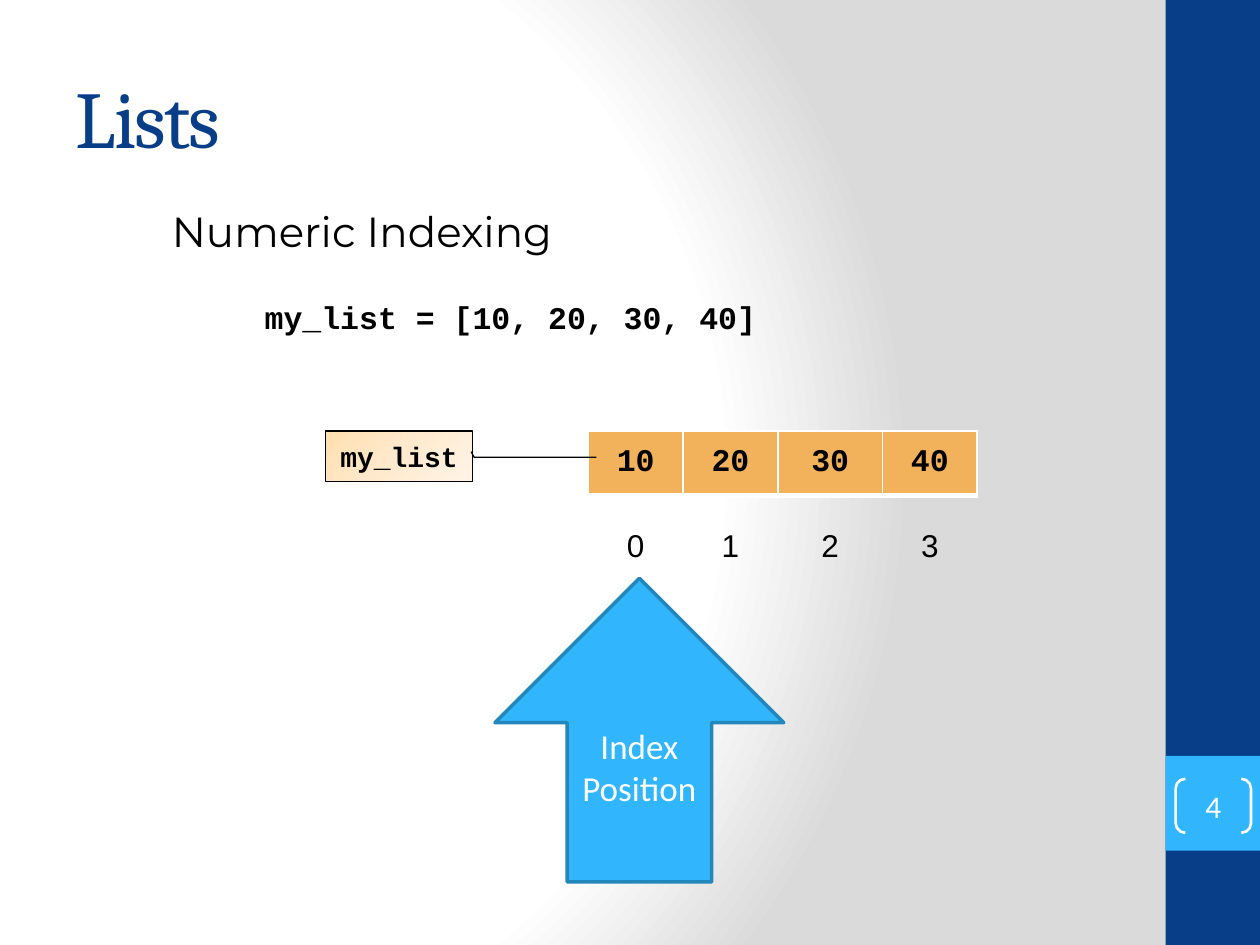
from lxml import etree
from pptx import Presentation
from pptx import util as u
from pptx.dml.color import RGBColor
from pptx.enum import shapes, text
from pptx.oxml import ns

COLORS = {
    "navy": "073E87", "sky": "31B6FD", "sky_edge": "2487BB", "amber": "F2B25C",
    "white": "FFFFFF", "black": "000000", "gray": "DADADA",
    "peach": "FFDFAF", "peach_mid": "FFEACE", "peach_light": "FFF4E7",
}
RGB = {name: RGBColor.from_string(value) for name, value in COLORS.items()}
CENTER = text.PP_ALIGN.CENTER
MIDDLE = text.MSO_ANCHOR.MIDDLE
DRAWING = ns.nsdecls("a")


def style_paragraph(paragraph, font_name, size, color, bold=False, align=None):
    paragraph.alignment = align
    for run in paragraph.runs:
        run.font.name = font_name
        run.font.size = u.Pt(size)
        run.font.bold = bold
        run.font.color.rgb = RGB[color]


def set_radial_gradient(parent, fill, stops, focus):
    fill.gradient()
    gradient = parent.find(".//" + ns.qn("a:gradFill"))
    gradient.clear()
    stop_xml = "".join(
        f'<a:gs pos="{position * 1000}"><a:srgbClr val="{COLORS[color]}"/></a:gs>'
        for position, color in stops)
    left, top, right, bottom = (percent * 1000 for percent in focus)
    gradient.append(etree.fromstring(f"<a:gsLst {DRAWING}>{stop_xml}</a:gsLst>"))
    gradient.append(etree.fromstring(
        f'<a:path {DRAWING} path="circle"><a:fillToRect l="{left}" t="{top}" '
        f'r="{right}" b="{bottom}"/></a:path>'))


presentation = Presentation()
presentation.slide_width = u.Cm(25.4)
presentation.slide_height = u.Cm(19.05)
slide = presentation.slides.add_slide(presentation.slide_layouts[1])
set_radial_gradient(slide._element, slide.background.fill,
                    [(0, "white"), (75, "white"), (100, "gray")], (20, 50, 100, 50))

for top, height, color in [(0, 19.05, "navy"), (15.24, 1.91, "sky")]:
    sidebar = slide.shapes.add_shape(
        shapes.MSO_SHAPE.RECTANGLE, u.Cm(23.5), u.Cm(top), u.Cm(1.9), u.Cm(height))
    sidebar.shadow.inherit = False
    sidebar.fill.solid()
    sidebar.fill.fore_color.rgb = RGB[color]
    sidebar.line.fill.background()

title = slide.shapes.title
title.left, title.top, title.width, title.height = (
    u.Cm(1.27), u.Cm(0.76), u.Cm(21.16), u.Cm(3.18))
title.text_frame.text = "Lists"
title.text_frame.vertical_anchor = MIDDLE
paragraph = title.text_frame.paragraphs[0]
style_paragraph(paragraph, "Cambria", 46, "navy", align=text.PP_ALIGN.LEFT)
paragraph.runs[0].font._element.set("spc", "-100")

body = slide.placeholders[1]
body.left, body.top, body.width, body.height = (
    u.Cm(3.18), u.Cm(4.01), u.Cm(18.62), u.Cm(3.18))
body.text_frame.text = "Numeric Indexing\nmy_list = [10, 20, 30, 40]"
body.text_frame.auto_size = text.MSO_AUTO_SIZE.NONE
body_styles = [("Montserrat", 24, False, 12, 0.03), ("Courier New", 18, True, 24, 1.9)]
for paragraph, (font_name, size, bold, space, indent) in zip(
        body.text_frame.paragraphs, body_styles):
    style_paragraph(paragraph, font_name, size, "black", bold, text.PP_ALIGN.LEFT)
    paragraph.space_before = u.Pt(space)
    properties = paragraph._p.get_or_add_pPr()
    properties.set("marL", str(u.Cm(indent)))
    properties.set("indent", "0")
    etree.SubElement(properties, ns.qn("a:buNone"))

column_widths = [1.91, 1.91, 2.11, 1.91]
tables = [
    (8.69, ["10", "20", "30", "40"], "Courier New", True),
    (10.36, ["0", "1", "2", "3"], "Arial", False),
]
for top, values, font_name, boxed in tables:
    table = slide.shapes.add_table(
        1, 4, u.Cm(11.86), u.Cm(top), u.Cm(sum(column_widths)), u.Cm(1.3)).table
    table.first_row = False
    table.horz_banding = False
    for column, width, cell, value in zip(
            table.columns, column_widths, table.rows[0].cells, values):
        column.width = u.Cm(width)
        cell.text_frame.text = value
        cell.vertical_anchor = MIDDLE
        style_paragraph(cell.text_frame.paragraphs[0], font_name, 18, "black", boxed, CENTER)
        if boxed:
            cell.fill.solid()
            cell.fill.fore_color.rgb = RGB["amber"]
            paint = f'<a:solidFill><a:srgbClr val="{COLORS["white"]}"/></a:solidFill>'
        else:
            cell.fill.background()
            paint = "<a:noFill/>"
        for index, (side, points) in enumerate([("L", 1), ("R", 1), ("T", 1), ("B", 3)]):
            cell._tc.get_or_add_tcPr().insert(index, etree.fromstring(
                f'<a:ln{side} {DRAWING} w="{u.Pt(points)}">{paint}</a:ln{side}>'))

callout = slide.shapes.add_shape(
    shapes.MSO_SHAPE.LINE_CALLOUT_2, u.Cm(6.56), u.Cm(8.69), u.Cm(2.97), u.Cm(1.02))
for index, value in enumerate([0.41, 0.99, 0.52, 1.01, 0.52, 1.84]):
    callout.adjustments[index] = value
set_radial_gradient(callout._element, callout.fill,
                    [(0, "peach"), (50, "peach_mid"), (100, "peach_light")], (0, 0, 100, 100))

arrow = slide.shapes.add_shape(
    shapes.MSO_SHAPE.UP_ARROW, u.Cm(9.98), u.Cm(11.66), u.Cm(5.82), u.Cm(6.12))
arrow.fill.solid()
arrow.fill.fore_color.rgb = RGB["sky"]

bracket = slide.shapes.add_shape(
    shapes.MSO_SHAPE.DOUBLE_BRACKET, u.Cm(23.7), u.Cm(15.7), u.Cm(1.52), u.Cm(1.09))
bracket.adjustments[0] = 0.18
bracket.fill.background()
frame = bracket.text_frame
frame.margin_left = frame.margin_right = frame.margin_top = frame.margin_bottom = 0

labels = [
    (callout, "my_list", "Courier New", 16, "black", True, "black", 0.75),
    (arrow, "Index Position", "Calibri", 20, "white", False, "sky_edge", 2),
    (bracket, "4", "Calibri", 18, "white", False, "white", 1.5),
]
for shape, label, font_name, size, color, bold, line_color, line_width in labels:
    shape.shadow.inherit = False
    shape.line.color.rgb = RGB[line_color]
    shape.line.width = u.Pt(line_width)
    shape.text_frame.text = label
    shape.text_frame.word_wrap = True
    shape.text_frame.vertical_anchor = MIDDLE
    style_paragraph(shape.text_frame.paragraphs[0], font_name, size, color, bold, CENTER)

presentation.save("out.pptx")
